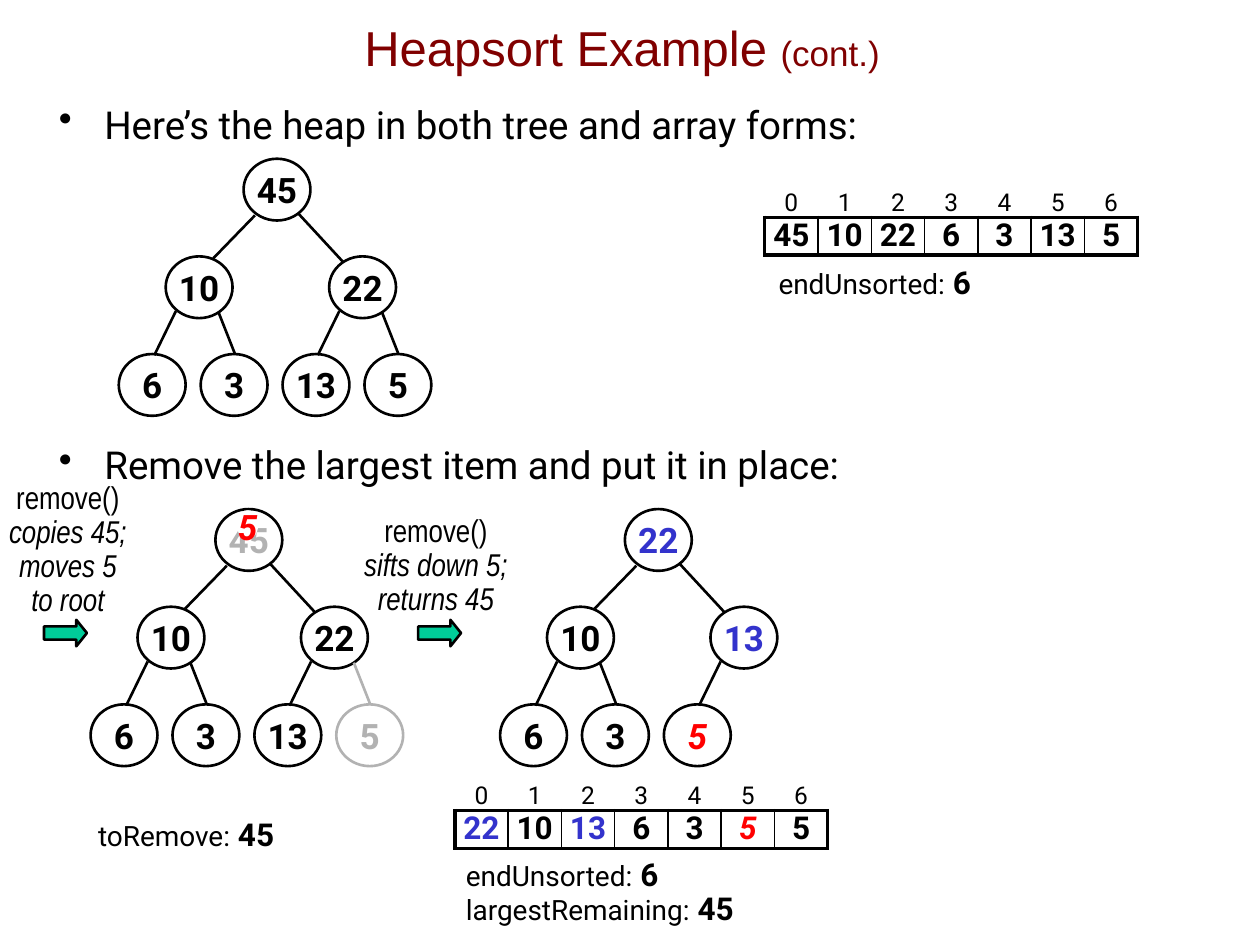
from lxml import etree
from pptx import Presentation
from pptx.dml.color import RGBColor
from pptx.enum import shapes, text
from pptx.oxml import ns
from pptx.util import Pt


class Theme:
    black, maroon, grey = "000000", "800000", "B2B2B2"
    blue, red, green, white = "3333CC", "FF0000", "00CC99", "FFFFFF"
    sans, title, narrow = "Roboto", "Arial", "Arial Narrow"
    title_size, cont_size, bullet_size, node_size = 28, 20, 22, 20
    value_size, label_size, index_size = 18, 16, 14
    line, frame, inner = 1.5, 2.25, 1


T = Theme
PLAIN, MOVED, GONE = {}, {"color": T.blue}, {"color": T.grey}
SIFTED = {"color": T.red, "italic": True}

TITLE = ("Heapsort Example ", "(cont.)")
BULLETS = [
    (54, "Here’s the heap in both tree and array forms:"),
    (248.4, "Remove the largest item and put it in place:"),
]

# Each tree: left, top, then its nodes level by level
TREES = [
    (67.9, 90.7, [("45", PLAIN), ("10", PLAIN), ("22", PLAIN), ("6", PLAIN),
                  ("3", PLAIN), ("13", PLAIN), ("5", PLAIN)]),
    (51.8, 290.9, [("45", GONE), ("10", PLAIN), ("22", PLAIN), ("6", PLAIN),
                   ("3", PLAIN), ("13", PLAIN), ("5", GONE)]),
    (285.8, 290.9, [("22", MOVED), ("10", PLAIN), ("13", MOVED), ("6", PLAIN),
                    ("3", PLAIN), ("5", SIFTED)]),
]
NODE_W, NODE_H, LEVEL = 38.2, 35.3, 55.8
NODE_X = [71.3, 26.8, 120.2, 0, 46.8, 93.6, 140.4]
# Edge ends relative to the parent's corner: (left child, right child)
ROOT_EDGES = [(6.5, 32.4, -17.3, 56.9), (31, 31, 56.9, 59)]
INNER_EDGES = [(5.8, 31.3, -6.5, 56.5), (30.2, 32, 39.6, 55.8)]

ARRAYS = [
    (437, 103.7, [("45", PLAIN), ("10", PLAIN), ("22", PLAIN), ("6", PLAIN),
                  ("3", PLAIN), ("13", PLAIN), ("5", PLAIN)]),
    (259.9, 442.8, [("22", MOVED), ("10", PLAIN), ("13", MOVED), ("6", PLAIN),
                    ("3", PLAIN), ("5", SIFTED), ("5", PLAIN)]),
]
COL_W, ROW_H = 30.45, (19.6, 20.4)

VARIABLES = [
    ((437.8, 146.9, 125.3, 28.8), 1, [("endUnsorted:", "6")]),
    ((49, 462.2, 116.6, 28.8), 1, [("toRemove:", "45")]),
    ((259.2, 487.4, 168.5, 46), 0.9,
     [("endUnsorted:", "6"), ("largestRemaining:", "45")]),
]
STEPS = [
    ((-2.2, 272.2, 82, 85), "copies 45;\vmoves 5\vto root"),
    ((200.9, 290.9, 96.5, 65.5), "sifts down 5;\vreturns 45"),
]
ARROWS = [(25.2, 354.2), (239, 354.2)]


def rgb(value):
    return RGBColor.from_string(value)


def set_font(font, size, name=T.sans, color=T.black, bold=False, italic=False):
    font.size, font.name, font.bold, font.italic = Pt(size), name, bold, italic
    font.color.rgb = rgb(color)


def add_run(p, words, size, **style):
    r = p.add_run()
    r.text = words
    set_font(r.font, size, **style)


def add_box(s, box, wrap=True):
    tf = s.shapes.add_textbox(*map(Pt, box)).text_frame
    tf.word_wrap = wrap
    if not wrap:
        tf.auto_size = text.MSO_AUTO_SIZE.SHAPE_TO_FIT_TEXT
    return tf


def add_shape(s, kind, box, fill=None, line=T.black):
    sp = s.shapes.add_shape(kind, *map(Pt, box))
    sp.shadow.inherit = False
    if fill:
        sp.fill.solid()
        sp.fill.fore_color.rgb = rgb(fill)
    else:
        sp.fill.background()
    if line:
        sp.line.color.rgb, sp.line.width = rgb(line), Pt(T.line)
    else:
        sp.line.fill.background()
    return sp


def add_node(s, x, y, label, style, line=T.black):
    sp = add_shape(s, shapes.MSO_SHAPE.OVAL, (x, y, NODE_W, NODE_H), line=line)
    tf = sp.text_frame
    tf.margin_left = tf.margin_right = tf.margin_top = tf.margin_bottom = 0
    tf.vertical_anchor = text.MSO_ANCHOR.MIDDLE
    p = tf.paragraphs[0]
    p.text, p.alignment = label, text.PP_ALIGN.CENTER
    set_font(p.font, T.node_size, bold=True, **style)


def add_edge(s, x1, y1, x2, y2, color):
    line = s.shapes.add_connector(shapes.MSO_CONNECTOR.STRAIGHT, *map(Pt, (x1, y1, x2, y2)))
    line.line.color.rgb, line.line.width = rgb(color), Pt(T.line)
    etree.SubElement(line._element.spPr, ns.qn("a:effectLst"))


def add_tree(s, left, top, nodes):
    spots = [(left + x, top + LEVEL * ((i + 1).bit_length() - 1))
             for i, x in enumerate(NODE_X)]
    for i, (label, style) in enumerate(nodes):
        # A removed leaf fades with its edge; a removed root keeps its outline
        line = T.grey if i and style is GONE else T.black
        add_node(s, *spots[i], label, style, line)
        if i:
            parent = (i - 1) // 2
            px, py = spots[parent]
            x1, y1, x2, y2 = (INNER_EDGES if parent else ROOT_EDGES)[(i - 1) % 2]
            add_edge(s, px + x1, py + y1, px + x2, py + y2, line)


def set_border(cell, side, width):
    ln = etree.SubElement(cell._tc.get_or_add_tcPr(), ns.qn("a:ln" + side), w=str(Pt(width)))
    fill = etree.SubElement(ln, ns.qn("a:solidFill"))
    etree.SubElement(fill, ns.qn("a:srgbClr"), val=T.black)


def fill_cell(cell, label, size, borders, **style):
    for side, width in borders:
        set_border(cell, side, width)
    cell.fill.background()
    p = cell.text_frame.paragraphs[0]
    p.text, p.alignment = label, text.PP_ALIGN.CENTER
    set_font(p.font, size, **style)


def add_array(s, left, top, values):
    n = len(values)
    box = map(Pt, (left, top, COL_W * n, sum(ROW_H)))
    table = s.shapes.add_table(2, n, *box).table
    table.first_row = table.horz_banding = False
    for row, height in zip(table.rows, ROW_H):
        row.height = Pt(height)
    for i, (label, style) in enumerate(values):
        table.columns[i].width = Pt(COL_W)
        index, value = table.cell(0, i), table.cell(1, i)
        index.margin_bottom = 0
        index.vertical_anchor = text.MSO_ANCHOR.BOTTOM
        fill_cell(index, str(i), T.index_size, [("B", T.frame)])
        value.margin_left = value.margin_right = value.margin_top = value.margin_bottom = 0
        borders = [("L", T.inner if i else T.frame),
                   ("R", T.inner if i < n - 1 else T.frame),
                   ("T", T.frame), ("B", T.frame)]
        fill_cell(value, label, T.value_size, borders, bold=True, **style)


def add_title(s):
    tf = add_box(s, (46, -6.5, 619, 67))
    tf.vertical_anchor = text.MSO_ANCHOR.MIDDLE
    p = tf.paragraphs[0]
    p.alignment = text.PP_ALIGN.CENTER
    for words, size in zip(TITLE, (T.title_size, T.cont_size)):
        add_run(p, words, size, name=T.title, color=T.maroon)


def add_bullet(s, top, words):
    p = add_box(s, (26.6, top, 693, 36)).paragraphs[0]
    p.text = words
    set_font(p.font, T.bullet_size)
    pPr = p._p.get_or_add_pPr()
    pPr.set("marL", str(Pt(26)))
    pPr.set("indent", str(Pt(-26)))
    bullet = etree.Element(ns.qn("a:buChar"), char="•")
    pPr.insert(0, bullet)


def add_variables(s, box, spacing, rows):
    tf = add_box(s, box, wrap=False)
    for i, (name, value) in enumerate(rows):
        p = tf.add_paragraph() if i else tf.paragraphs[0]
        p.line_spacing = spacing
        add_run(p, name, T.label_size)
        add_run(p, " " + value, T.value_size, bold=True)


def add_step(s, box, effect):
    tf = add_box(s, box, wrap=False)
    for p, words, italic in ((tf.paragraphs[0], "remove()", False),
                             (tf.add_paragraph(), effect, True)):
        p.text, p.alignment, p.line_spacing = words, text.PP_ALIGN.CENTER, 0.9
        set_font(p.font, T.value_size, name=T.narrow, italic=italic)


def main():
    prs = Presentation()
    prs.slide_width, prs.slide_height = Pt(720), Pt(540)
    s = prs.slides.add_slide(prs.slide_layouts[6])
    add_title(s)
    for bullet in BULLETS:
        add_bullet(s, *bullet)
    for tree in TREES:
        add_tree(s, *tree)
    add_shape(s, shapes.MSO_SHAPE.OVAL, (135.4, 291.6, 12.2, 16.6), T.white, None)
    add_node(s, 122.4, 283, "5", SIFTED, line=None)
    for array in ARRAYS:
        add_array(s, *array)
    for variables in VARIABLES:
        add_variables(s, *variables)
    for step in STEPS:
        add_step(s, *step)
    for x, y in ARROWS:
        arrow = add_shape(s, shapes.MSO_SHAPE.RIGHT_ARROW, (x, y, 24.5, 15.1), T.green)
        arrow.adjustments[1] = 0.4
    prs.save("out.pptx")


if __name__ == "__main__":
    main()
